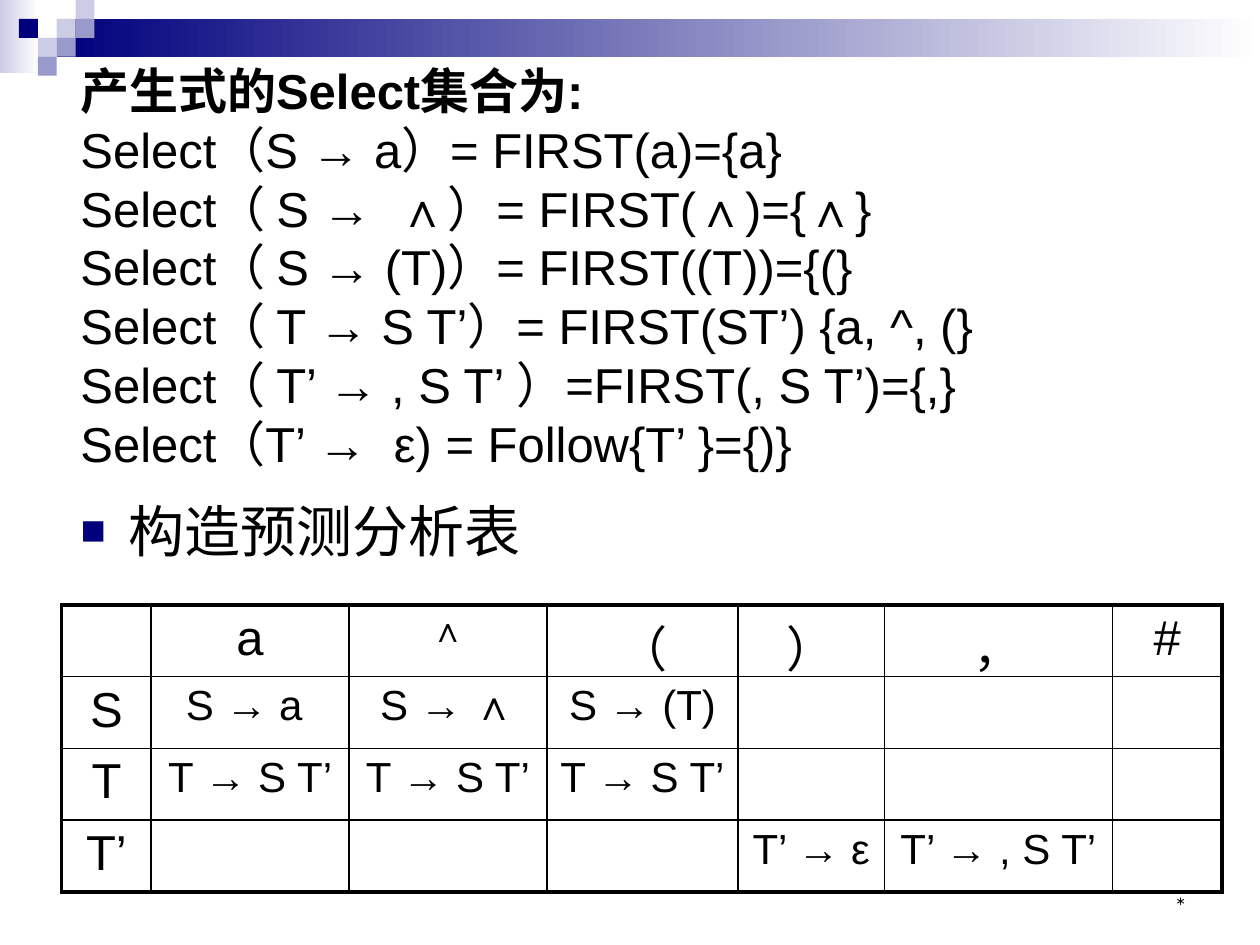
from lxml import etree
from pptx import Presentation
from pptx import util as u
from pptx.dml.color import RGBColor
from pptx.enum import shapes, text
from pptx.oxml.ns import qn

BLACK = RGBColor(0x00, 0x00, 0x00)
WHITE = RGBColor(0xFF, 0xFF, 0xFF)
NAVY = RGBColor(0x00, 0x00, 0x7D)
LAVENDER = RGBColor(0xCC, 0xCC, 0xE6)
PERIWINKLE = RGBColor(0x99, 0x99, 0xCC)

SELECT_SETS = [
    "产生式的Select集合为:",
    "Select（S → a）= FIRST(a)={a}",
    "Select（ S →  ∧）= FIRST(∧)={∧}\n"
    "Select（ S → (T)）= FIRST((T))={(}\n"
    "Select（ T → S T’）= FIRST(ST’) {a, ^, (}\n"
    "Select（ T’ → , S T’ ）=FIRST(, S T’)={,}",
    "Select（T’ →  ε) = Follow{T’ }={)}",
]
HEADING = "构造预测分析表"
PARSE_TABLE = [
    ["", "a", "∧", "（", "）", "，", "#"],
    ["S", "S → a ", "S → ∧", "S → (T)", "", "", ""],
    ["T", "T → S T’", "T → S T’", "T → S T’", "", "", ""],
    ["T’", "", "", "", "T’ → ε", "T’ → , S T’", ""],
]
COLUMN_WIDTHS = [0.71, 1.57, 1.57, 1.52, 1.16, 1.81, 0.87]
ROW_HEIGHT = 0.57
GRADIENT_BARS = [((0, 0, 0.31, 0.58), LAVENDER), ((0.45, 0.15, 9.55, 0.3), NAVY)]
TILE = 0.15
TILES = [(3, 1, LAVENDER), (4, 0, LAVENDER), (4, 1, PERIWINKLE), (2, 2, LAVENDER),
         (1, 1, NAVY), (3, 2, PERIWINKLE), (2, 3, PERIWINKLE)]


def inches(*lengths):
    return [u.Inches(length) for length in lengths]


def add_block(slide, box):
    block = slide.shapes.add_shape(shapes.MSO_SHAPE.RECTANGLE, *inches(*box))
    block.shadow.inherit = False
    block.line.fill.background()
    return block


def add_decoration(slide):
    for box, color in GRADIENT_BARS:
        fill = add_block(slide, box).fill
        fill.gradient()
        fill.gradient_angle = 0
        for stop, shade in zip(fill.gradient_stops, (color, WHITE)):
            stop.color.rgb = shade
    for column, row, color in TILES:
        fill = add_block(slide, (column * TILE, row * TILE, TILE, TILE)).fill
        fill.solid()
        fill.fore_color.rgb = color


def style(paragraph, size, name="Arial", bold=False):
    for run in paragraph.runs:
        run.font.size = u.Pt(size)
        run.font.name = name
        run.font.bold = bold
        run.font.color.rgb = BLACK


def add_footer_mark(slide):
    mark = slide.shapes.add_textbox(*inches(7.17, 6.83, 2.33, 0.5)).text_frame
    mark.word_wrap = True
    mark.vertical_anchor = text.MSO_ANCHOR.BOTTOM
    mark.text = "*"
    mark.paragraphs[0].alignment = text.PP_ALIGN.RIGHT
    style(mark.paragraphs[0], 12, "Montserrat")


def add_heading(slide):
    body = slide.placeholders[1]
    body.left, body.top, body.width, body.height = inches(0.54, 3.89, 9, 3.69)
    body.text_frame.text = HEADING
    heading = body.text_frame.paragraphs[0]
    heading.space_before = u.Pt(0)
    properties = heading._p.get_or_add_pPr()
    properties.set("marL", str(u.Inches(0.38)))
    properties.set("indent", str(u.Inches(-0.38)))
    bullet_color = etree.SubElement(properties, qn("a:buClr"))
    etree.SubElement(bullet_color, qn("a:srgbClr"), val=str(NAVY))
    etree.SubElement(properties, qn("a:buSzPct"), val="75000")
    etree.SubElement(properties, qn("a:buFont"), typeface="Arial")
    etree.SubElement(properties, qn("a:buChar"), char="■")
    style(heading, 32)


def set_border(cell, side, width):
    line = etree.Element(qn(f"a:ln{side}"), w=str(u.Pt(width)))
    fill = etree.SubElement(line, qn("a:solidFill"))
    etree.SubElement(fill, qn("a:srgbClr"), val=str(BLACK))
    return line


def add_parse_table(slide):
    rows, columns = len(PARSE_TABLE), len(COLUMN_WIDTHS)
    table = slide.shapes.add_table(
        rows, columns, *inches(0.49, 4.8, sum(COLUMN_WIDTHS), rows * ROW_HEIGHT)).table
    table.first_row = table.horz_banding = False
    for column, width in zip(table.columns, COLUMN_WIDTHS):
        column.width = u.Inches(width)
    for r, entries in enumerate(PARSE_TABLE):
        table.rows[r].height = u.Inches(ROW_HEIGHT)
        for c, entry in enumerate(entries):
            cell = table.cell(r, c)
            cell.fill.background()
            outer_edges = {"L": c == 0, "R": c == columns - 1, "T": r == 0, "B": r == rows - 1}
            borders = [set_border(cell, side, 2.25 if outer else 1)
                       for side, outer in outer_edges.items()]
            for position, border in enumerate(borders):
                cell._tc.get_or_add_tcPr().insert(position, border)
            if entry:
                cell.text_frame.text = entry
                paragraph = cell.text_frame.paragraphs[0]
                paragraph.alignment = text.PP_ALIGN.CENTER
                style(paragraph, 20 if entry == "∧" else 28 if r == 0 or c == 0 else 24)


def add_select_sets(slide):
    frame = slide.shapes.add_textbox(*inches(0.54, 0.43, 9.5, 4.65)).text_frame
    frame.word_wrap = True
    for i, lines in enumerate(SELECT_SETS):
        paragraph = frame.add_paragraph() if i else frame.paragraphs[0]
        paragraph.text = lines
        style(paragraph, 28, bold=i == 0)


def main():
    deck = Presentation()
    deck.slide_width, deck.slide_height = inches(10, 7.5)
    slide = deck.slides.add_slide(deck.slide_layouts[1])
    title = slide.shapes.title.element
    title.getparent().remove(title)
    add_decoration(slide)
    add_footer_mark(slide)
    add_heading(slide)
    add_parse_table(slide)
    add_select_sets(slide)
    deck.save("out.pptx")


if __name__ == "__main__":
    main()
